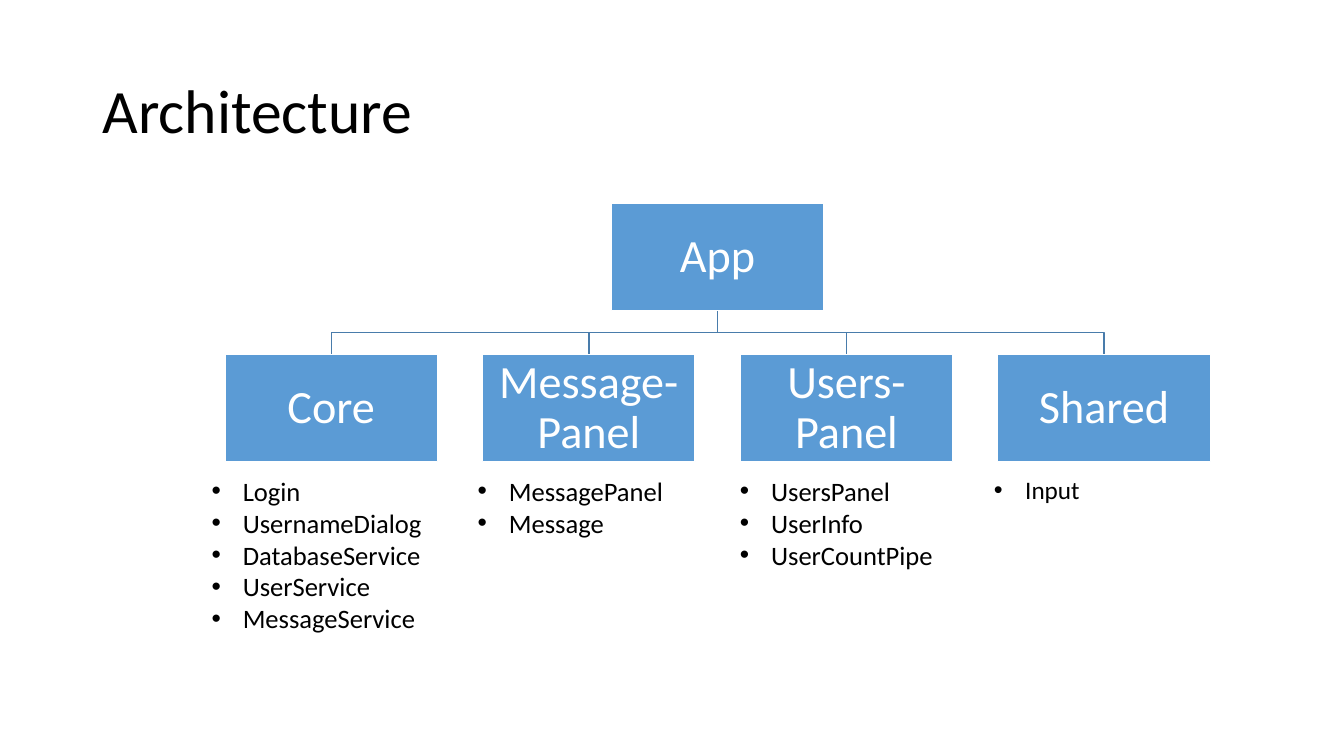
from lxml import etree
from pptx import Presentation
from pptx.dml.color import RGBColor
from pptx.enum import shapes, text
from pptx.oxml import ns
from pptx.util import Inches, Pt

BLACK = RGBColor(0x00, 0x00, 0x00)
WHITE = RGBColor(0xFF, 0xFF, 0xFF)
BLUE = RGBColor(0x5B, 0x9B, 0xD5)
STEEL = RGBColor(0x49, 0x7C, 0xAB)

NODE_W, NODE_H = 2.11, 1.06
STEP_X, STEP_Y = 2.555, 1.5

MODULES = ["Core", "Message-Panel", "Users-Panel", "Shared"]
LISTS = [
    (2, 2.63, 19, ["Login", "UsernameDialog", "DatabaseService",
                   "UserService", "MessageService"]),
    (4.64, 2.6, 19, ["MessagePanel", "Message"]),
    (7.24, 2.58, 19, ["UsersPanel", "UserInfo", "UserCountPipe"]),
    (9.76, 2.31, 18, ["Input"]),
]


def write(shape, lines, size, color=BLACK, align=text.PP_ALIGN.LEFT,
          anchor=text.MSO_ANCHOR.TOP, spacing=None, inset=None, bullet=False):
    frame = shape.text_frame
    frame.word_wrap = True
    frame.vertical_anchor = anchor
    if inset is not None:
        frame.margin_left = frame.margin_right = Inches(inset)
        frame.margin_top = frame.margin_bottom = Inches(inset)
    frame.text = "\n".join(lines)
    for para in frame.paragraphs:
        para.alignment = align
        para.line_spacing = spacing
        font = para.runs[0].font
        font.name, font.size = "Calibri", Pt(size)
        font.color.rgb = color
        if bullet:
            props = para._p.get_or_add_pPr()
            props.set("marL", str(Inches(0.31)))
            props.set("indent", str(Inches(-0.31)))
            face = etree.SubElement(props, ns.qn("a:buFont"))
            face.set("typeface", "Arial")
            mark = etree.SubElement(props, ns.qn("a:buChar"))
            mark.set("char", "•")


def add_text(slide, box, lines, size, **style):
    shape = slide.shapes.add_textbox(*map(Inches, box))
    write(shape, lines, size, **style)
    return shape


def add_title(slide, box):
    add_text(slide, box, ["Architecture"], 44, spacing=0.9,
             anchor=text.MSO_ANCHOR.MIDDLE)


def add_link(slide, start, end):
    mid = (start[1] + end[1]) / 2
    points = [(start[0], mid), (end[0], mid), end]
    pen = slide.shapes.build_freeform(*map(Inches, start))
    pen.add_line_segments([(Inches(x), Inches(y)) for x, y in points],
                          close=False)
    link = pen.convert_to_shape()
    link.shadow.inherit = False
    link.fill.background()
    link.line.color.rgb = STEEL
    link.line.width = Pt(1)


def add_node(slide, left, top, name):
    node = slide.shapes.add_shape(
        shapes.MSO_SHAPE.RECTANGLE,
        *map(Inches, (left, top, NODE_W, NODE_H)))
    node.shadow.inherit = False
    node.fill.solid()
    node.fill.fore_color.rgb = BLUE
    node.line.color.rgb = WHITE
    node.line.width = Pt(1)
    write(node, [name], 33, color=WHITE, align=text.PP_ALIGN.CENTER,
          anchor=text.MSO_ANCHOR.MIDDLE, spacing=0.9, inset=0.02)


def add_tree(slide, left, top):
    lefts = [left + i * STEP_X for i in range(len(MODULES))]
    root = (lefts[0] + lefts[-1]) / 2
    row = top + STEP_Y
    half = NODE_W / 2
    for x in reversed(lefts):
        add_link(slide, (root + half, top + NODE_H), (x + half, row))
    add_node(slide, root, top, "App")
    for x, name in zip(lefts, MODULES):
        add_node(slide, x, row, name)


def add_lists(slide, top):
    for left, width, size, items in LISTS:
        box = (left, top, width, 0.1 + 0.32 * len(items))
        part = add_text(slide, box, items, size, bullet=True)
        part.text_frame.auto_size = text.MSO_AUTO_SIZE.SHAPE_TO_FIT_TEXT


deck = Presentation()
deck.slide_width, deck.slide_height = Inches(13.33), Inches(7.5)
page = deck.slides.add_slide(deck.slide_layouts[6])
add_title(page, (0.92, 0.4, 11.5, 1.45))
add_tree(page, 2.23, 2.02)
add_lists(page, 4.66)
deck.save("out.pptx")
